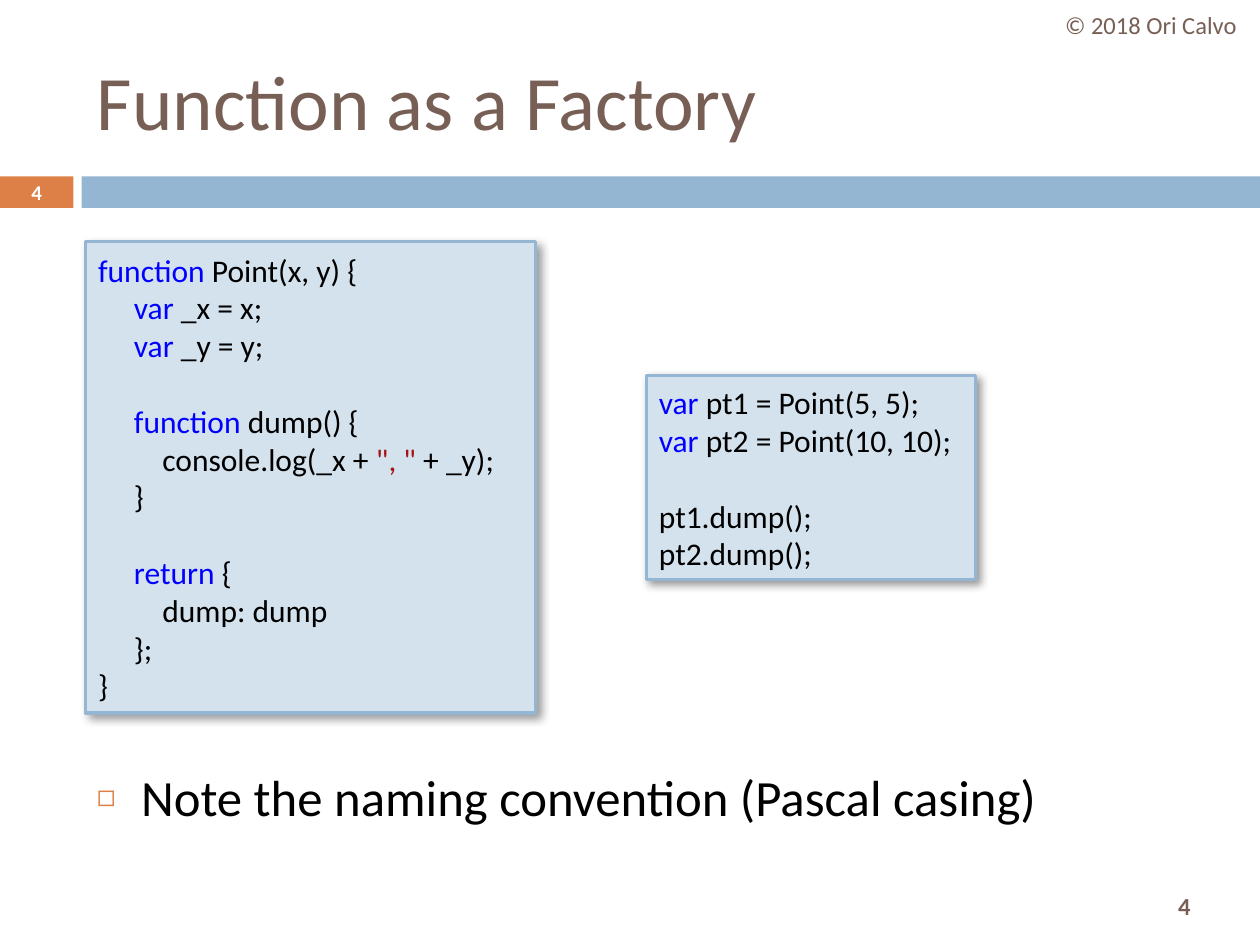
from lxml.etree import SubElement as Sub
from pptx import Presentation as Deck
from pptx.dml.color import RGBColor as Rgb
from pptx.enum.shapes import MSO_SHAPE as Kind
from pptx.enum.text import MSO_ANCHOR as Anchor, MSO_AUTO_SIZE as Fit, PP_ALIGN as Align
from pptx.oxml.ns import qn
from pptx.util import Pt

HUES = {
    "brown": "775F55", "orange": "DD8047", "blue": "94B6D2", "pale": "D4E2ED",
    "key": "0000FF", "quote": "A31515", "black": "000000", "white": "FFFFFF",
}
KEYS = {"function", "var", "return"}
STEPS = [0, 20.5, 36.75]

MAKER = [
    (0, "function| Point(x, y) {"),
    (1, "var| _x = x;"),
    (1, "var| _y = y;"),
    None,
    (1, "function| dump() {"),
    (2, 'console.log(_x + |", "| + _y);'),
    (1, "}"),
    None,
    (1, "return| {"),
    (2, "dump: dump"),
    (1, "};"),
    (0, "}"),
]
USAGE = [
    (0, "var| pt1 = Point(5, 5);"),
    (0, "var| pt2 = Point(10, 10);"),
    None,
    (0, "pt1.dump();"),
    (0, "pt2.dump();"),
]


class Page:
    font = "Calibri"
    pitch = 21.6

    def __init__(self, slide):
        self.slide = slide
        self.shapes = slide.shapes

    def color(self, name):
        return Rgb.from_string(HUES[name])

    def style(self, run, size, hue, bold=False):
        font = run.font
        font.name, font.size, font.bold = self.font, Pt(size), bold
        font.color.rgb = self.color(hue)

    def place(self, shape, box):
        shape.left, shape.top, shape.width, shape.height = map(Pt, box)

    def fill_text(self, shape, text, size, hue, bold=False, align=Align.LEFT, anchor=Anchor.MIDDLE):
        frame = shape.text_frame
        frame.text = text
        frame.word_wrap = True
        frame.auto_size = Fit.NONE
        frame.vertical_anchor = anchor
        line = frame.paragraphs[0]
        line.alignment = align
        self.style(line.runs[0], size, hue, bold)
        return line

    def title(self, box, text):
        shape = self.shapes.title
        self.place(shape, box)
        self.fill_text(shape, text, 44, "brown")

    def bullet(self, box, text):
        shape = self.slide.placeholders[1]
        self.place(shape, box)
        line = self.fill_text(shape, text, 29, "black", anchor=Anchor.TOP)
        line.space_before = Pt(7)
        props = line._p.get_or_add_pPr()
        props.set("marL", str(Pt(25.2)))
        props.set("indent", str(Pt(-25.2)))
        tint = Sub(props, qn("a:buClr"))
        Sub(tint, qn("a:srgbClr"), val=HUES["orange"])
        Sub(props, qn("a:buSzPct"), val="60000")
        Sub(props, qn("a:buChar"), char="◻")

    def label(self, box, text, size, hue, bold=False):
        shape = self.shapes.add_textbox(*map(Pt, box))
        self.fill_text(shape, text, size, hue, bold, Align.CENTER)

    def rect(self, box, hue):
        shape = self.shapes.add_shape(Kind.RECTANGLE, *map(Pt, box))
        shape.shadow.inherit = False
        shape.fill.solid()
        shape.fill.fore_color.rgb = self.color(hue)
        shape.line.fill.background()
        return shape

    def shade(self, shape):
        effects = shape._element.spPr.find(qn("a:effectLst"))
        drop = Sub(effects, qn("a:outerShdw"), blurRad=str(Pt(5)), dist=str(Pt(2.9)),
                   dir="2700000", algn="tl", rotWithShape="0")
        tint = Sub(drop, qn("a:srgbClr"), val=HUES["black"])
        Sub(tint, qn("a:alpha"), val="40000")

    def code(self, box, lines):
        shape = self.rect(box, "pale")
        shape.line.color.rgb = self.color("blue")
        shape.line.width = Pt(1.75)
        self.shade(shape)
        frame = shape.text_frame
        frame.word_wrap = False
        frame.vertical_anchor = Anchor.MIDDLE
        for spot, item in enumerate(lines):
            if item is None:
                continue
            level, text = item
            line = frame.add_paragraph() if spot else frame.paragraphs[0]
            line.alignment = Align.LEFT
            line._p.get_or_add_pPr().set("marL", str(Pt(STEPS[level])))
            if spot and lines[spot - 1] is None:
                line.space_before = Pt(self.pitch)
            for part in text.split("|"):
                run = line.add_run()
                run.text = part
                hue = "key" if part in KEYS else "quote" if part[0] == '"' else "black"
                self.style(run, 18, hue)


def main():
    deck = Deck()
    deck.slide_width, deck.slide_height = Pt(720), Pt(540)
    page = Page(deck.slides.add_slide(deck.slide_layouts[1]))
    page.rect((0, 100.8, 42, 18), "orange")
    page.rect((46.6, 100.8, 673.4, 18), "blue")
    page.label((643.7, 502.6, 66.2, 30.2), "4", 14, "brown", True)
    page.title((48.2, 18, 642.2, 77.8), "Function as a Factory")
    page.label((595.4, 0, 124.6, 28.8), "© 2018 Ori Calvo", 14, "brown")
    page.label((0, 100, 42, 19.4), "4", 12, "white", True)
    page.bullet((48.2, 434.2, 642.2, 51.1), "Note the naming convention (Pascal casing)")
    page.code((49, 138.2, 257, 269.3), MAKER)
    page.code((369.4, 214.6, 187.9, 116.6), USAGE)
    deck.save("out.pptx")


if __name__ == "__main__":
    main()
